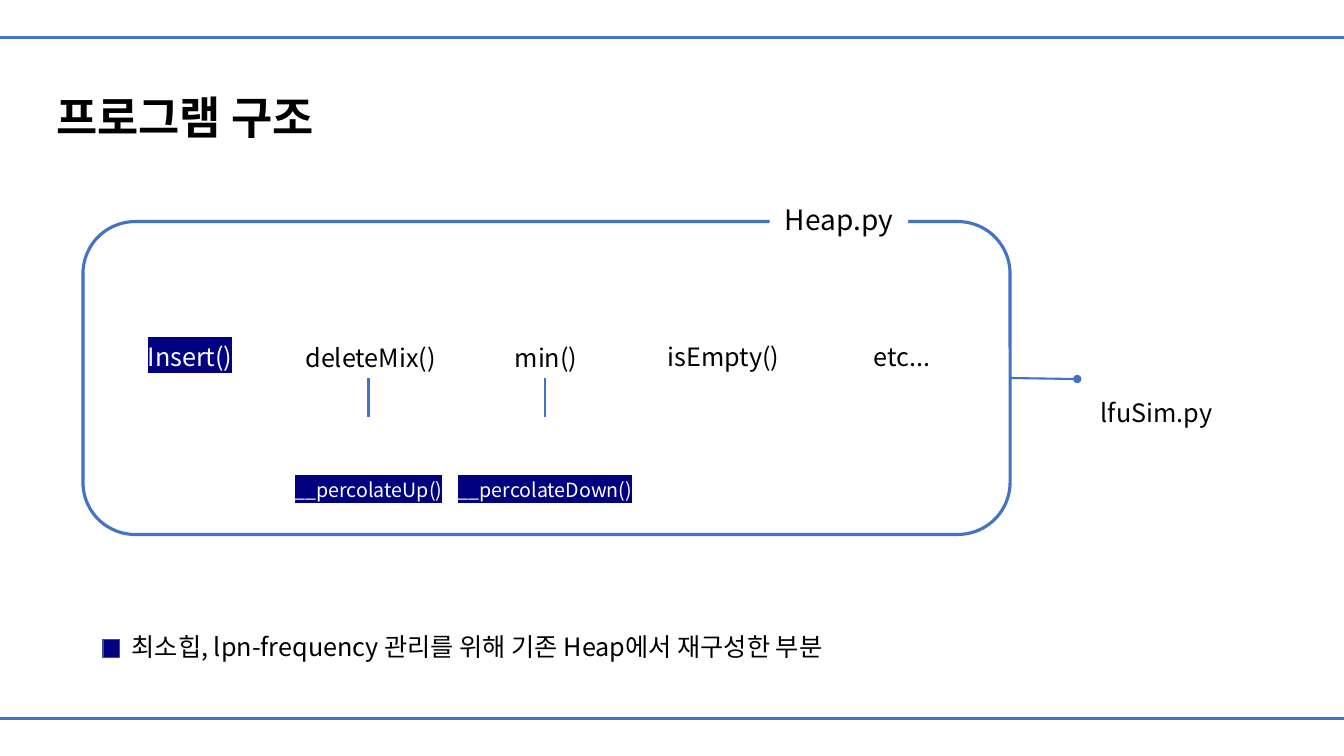
from lxml import etree
from pptx import Presentation, util as u
from pptx.dml.color import RGBColor
from pptx.enum import shapes, text
from pptx.oxml import ns

PX = 9525
W, H = 1280, 720
FONT = "Noto Sans CJK KR"
BLUE = RGBColor(0x44, 0x72, 0xC4)
NAVY = RGBColor(0x00, 0x00, 0x80)
EDGE = RGBColor(0x32, 0x54, 0x91)
BLACK = RGBColor(0x00, 0x00, 0x00)
WHITE = RGBColor(0xFF, 0xFF, 0xFF)


def px(*lengths):
    return [u.Emu(n * PX) for n in lengths]


def add_xml(parent, tag, **attrs):
    return etree.SubElement(parent, ns.qn(tag), attrs)


def write(sp, words, size, center=True, bold=False, highlight=None):
    """Put one vertically centred line of text in a shape."""
    tf = sp.text_frame
    tf.word_wrap = True
    tf.vertical_anchor = text.MSO_ANCHOR.MIDDLE
    p = tf.paragraphs[0]
    p.alignment = text.PP_ALIGN.CENTER if center else text.PP_ALIGN.LEFT
    r = p.add_run()
    r.text = words
    r.font.color.rgb = WHITE if highlight else BLACK
    rpr = r.font._element
    if highlight:
        add_xml(add_xml(rpr, "a:highlight"), "a:srgbClr", val=str(highlight))
    for name, value in {"size": u.Pt(size), "bold": bold, "name": FONT}.items():
        setattr(r.font, name, value)
    add_xml(rpr, "a:ea", typeface=FONT)


def add_label(s, box, words, size=18, **style):
    write(s.shapes.add_textbox(*px(*box)), words, size, **style)


def add_box(s, kind, box, fill=None, line=None, width=1):
    sp = s.shapes.add_shape(kind, *px(*box))
    sp.shadow.inherit = False
    if fill is None:
        sp.fill.background()
    else:
        sp.fill.solid()
        sp.fill.fore_color.rgb = fill
    if line is None:
        sp.line.fill.background()
    else:
        sp.line.color.rgb = line
        sp.line.width = u.Pt(width)
    return sp


def add_line(s, start, end, width=1.5, dot=False):
    c = s.shapes.add_connector(shapes.MSO_CONNECTOR.STRAIGHT, *px(*start, *end))
    c.line.color.rgb = BLUE
    c.line.width = u.Pt(width)
    if dot:
        add_xml(c.line._get_or_add_ln(), "a:tailEnd", type="oval")
    add_xml(c._element.spPr, "a:effectLst")


def add_heap_module(s):
    add_box(s, shapes.MSO_SHAPE.ROUNDED_RECTANGLE, (79, 211, 883, 298), line=BLUE, width=2.25)
    name = add_box(s, shapes.MSO_SHAPE.RECTANGLE, (733, 188, 132, 42), fill=WHITE)
    write(name, "Heap.py", 20)

    methods = [
        (181, 320, "Insert()", NAVY),
        (353, 321, "deleteMix()", None),
        (520, 321, "min()", None),
        (689, 320, "isEmpty()", None),
        (859, 320, "etc...", None),
    ]
    for middle, top, words, highlight in methods:
        add_label(s, (middle - 95, top, 190, 38), words, highlight=highlight)

    helpers = [(351, "__percolateUp()"), (519, "__percolateDown()")]
    for middle, words in helpers:
        add_line(s, (middle, 360), (middle, 397))
        add_label(s, (middle - 95, 450, 190, 33), words, 14, highlight=NAVY)


def add_legend(s):
    add_box(s, shapes.MSO_SHAPE.RECTANGLE, (98, 609, 16, 17), fill=NAVY, line=EDGE)
    add_label(s, (116, 597, 713, 38),
              "최소힙, lpn-frequency 관리를 위해 기존 Heap에서 재구성한 부분", center=False)


def main():
    prs = Presentation()
    prs.slide_width, prs.slide_height = px(W, H)
    s = prs.slides.add_slide(prs.slide_layouts[6])
    for y in (36, H - 36):
        add_line(s, (0, y), (W, y), 2.25)
    add_label(s, (44, 81, 275, 61), "프로그램 구조", 32, center=False, bold=True)
    add_heap_module(s)
    add_line(s, (962, 360), (1026, 361), dot=True)
    add_label(s, (1001, 374, 201, 38), "lfuSim.py")
    add_legend(s)
    prs.save("out.pptx")


if __name__ == "__main__":
    main()
